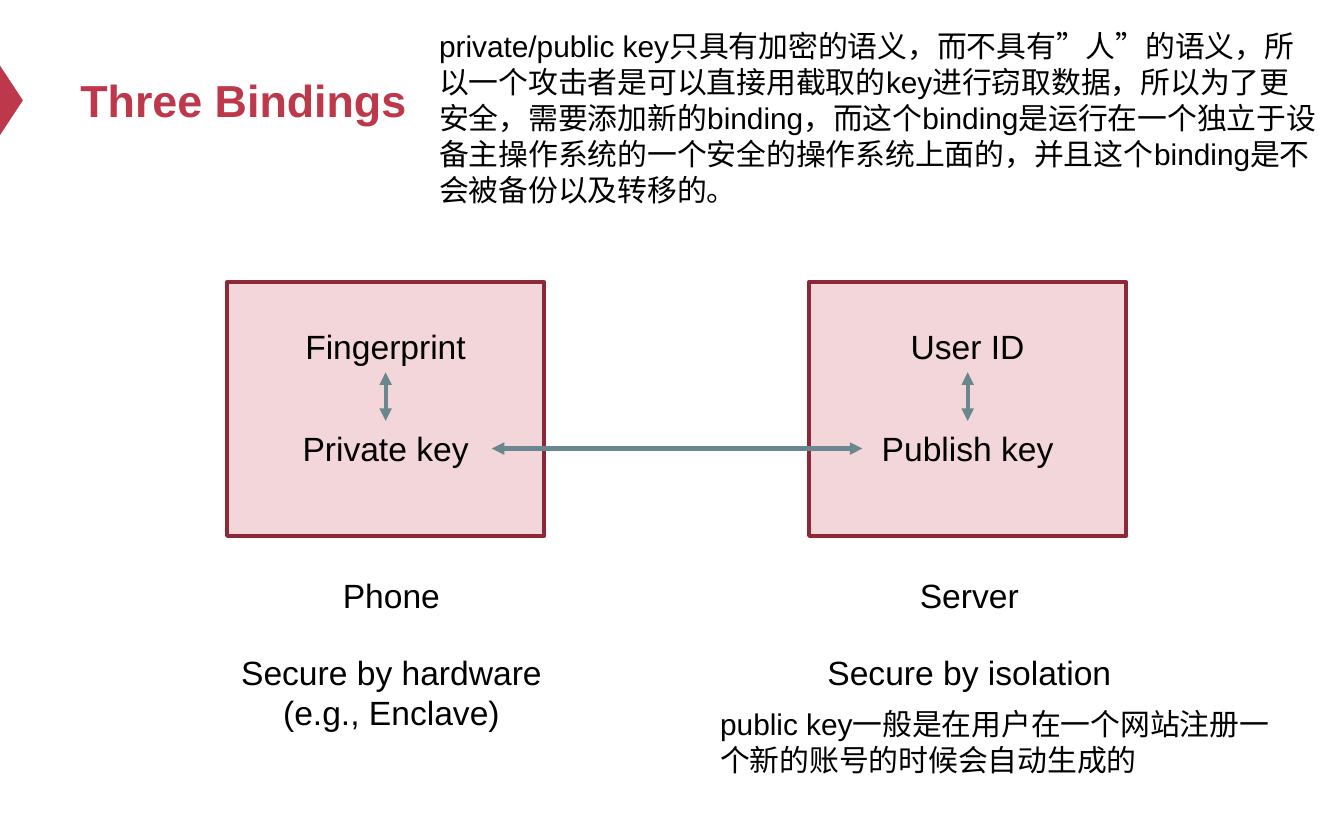
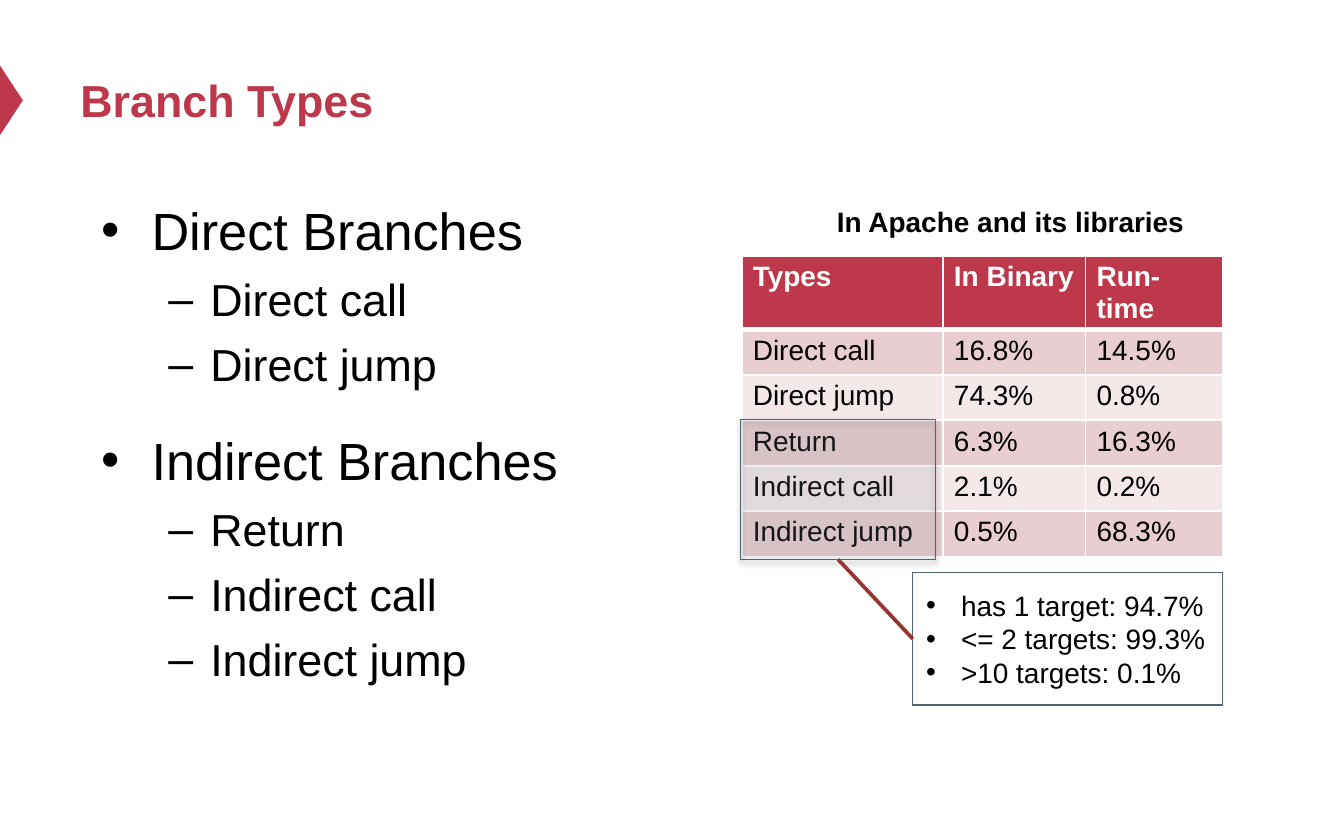
from lxml.etree import SubElement
from pptx import Presentation
from pptx.dml.color import RGBColor
from pptx.enum.shapes import MSO_CONNECTOR, MSO_SHAPE
from pptx.enum.text import MSO_ANCHOR, MSO_AUTO_SIZE, PP_ALIGN
from pptx.oxml.ns import qn
from pptx.util import Pt

FONT = "Arial"
CRIMSON = RGBColor(0xBE, 0x38, 0x4B)
DARK_RED = RGBColor(0x8D, 0x29, 0x37)
BLUSH = RGBColor(0xF3, 0xD6, 0xDA)
BAND_DARK = RGBColor(0xE8, 0xCE, 0xD0)
BAND_LIGHT = RGBColor(0xF4, 0xE8, 0xE9)
STEEL = RGBColor(0x6A, 0x86, 0x8F)
SLATE = RGBColor(0x50, 0x65, 0x6B)
MIST = RGBColor(0xA5, 0xB7, 0xBC)
BRICK = RGBColor(0x95, 0x37, 0x35)
BLACK = RGBColor(0, 0, 0)
WHITE = RGBColor(0xFF, 0xFF, 0xFF)

DEVICE_TOP, DEVICE_WIDTH, DEVICE_HEIGHT = 151.2, 170, 136
LABEL_WIDTH = 113

KEY_NOTE = (
    "private/public key只具有加密的语义，而不具有”人”的语义，所以一个攻击者是可以直接用截取的key进行窃取数据，"
    "所以为了更安全，需要添加新的binding，而这个binding是运行在一个独立于设备主操作系统的一个安全的操作系统上面的，"
    "并且这个binding是不会被备份以及转移的。"
)
REGISTER_NOTE = "public key一般是在用户在一个网站注册一个新的账号的时候会自动生成的"

BRANCHES = [
    ("Direct Branches", ["Direct call", "Direct jump"]),
    ("Indirect Branches", ["Return", "Indirect call", "Indirect jump"]),
]
BRANCH_SHARES = [
    ("Types", "In Binary", "Run-time"),
    ("Direct call", "16.8%", "14.5%"),
    ("Direct jump", "74.3%", "0.8%"),
    ("Return", "6.3%", "16.3%"),
    ("Indirect call", "2.1%", "0.2%"),
    ("Indirect jump", "0.5%", "68.3%"),
]
TARGET_COUNTS = ["has 1 target: 94.7%", "<= 2 targets: 99.3%", ">10 targets: 0.1%"]


def points(*lengths):
    return [Pt(length) for length in lengths]


def style_runs(paragraph, size, color=BLACK, bold=False):
    for run in paragraph.runs:
        run.font.name = FONT
        run.font.size = Pt(size)
        run.font.bold = bold
        run.font.color.rgb = color


def add_label(slide, text, left, top, width, height, size=18, color=BLACK,
              bold=False, align=PP_ALIGN.LEFT, wrap=True):
    label = slide.shapes.add_textbox(*points(left, top, width, height))
    frame = label.text_frame
    frame.word_wrap = wrap
    frame.auto_size = MSO_AUTO_SIZE.SHAPE_TO_FIT_TEXT
    frame.text = text
    frame.paragraphs[0].alignment = align
    style_runs(frame.paragraphs[0], size, color, bold)
    return label


def add_centered(slide, text, center, top, width, height=29):
    add_label(slide, text, center - width / 2, top, width, height,
              align=PP_ALIGN.CENTER)


def add_box(slide, preset, left, top, width, height, fill=None, line=None,
            line_width=0.75):
    box = slide.shapes.add_shape(preset, *points(left, top, width, height))
    box.shadow.inherit = False
    if fill is None:
        box.fill.background()
    else:
        box.fill.solid()
        box.fill.fore_color.rgb = fill
    if line is None:
        box.line.fill.background()
    else:
        box.line.color.rgb = line
        box.line.width = Pt(line_width)
    return box


def add_line(slide, start, end, color, width, arrows=False):
    link = slide.shapes.add_connector(MSO_CONNECTOR.STRAIGHT,
                                      *points(*start, *end))
    link.line.color.rgb = color
    link.line.width = Pt(width)
    if arrows:
        outline = link.line._get_or_add_ln()
        for tag in ("a:headEnd", "a:tailEnd"):
            SubElement(outline, qn(tag), type="triangle")
    SubElement(link._element.spPr, qn("a:effectLst"))


def add_bullet(paragraph, symbol, margin, hang):
    properties = paragraph._p.get_or_add_pPr()
    properties.set("marL", str(Pt(margin)))
    properties.set("indent", str(-Pt(hang)))
    SubElement(properties, qn("a:buFont"), typeface=FONT)
    SubElement(properties, qn("a:buChar"), char=symbol)


def add_titled_slide(deck, title):
    slide = deck.slides.add_slide(deck.slide_layouts[6])
    marker = add_box(slide, MSO_SHAPE.ISOSCELES_TRIANGLE, -13, 47.5, 38, 12.5,
                     CRIMSON)
    marker.rotation = 90
    heading = add_label(slide, title, 36, 18, 648, 70.6, 24, CRIMSON, True)
    heading.text_frame.auto_size = MSO_AUTO_SIZE.NONE
    heading.text_frame.vertical_anchor = MSO_ANCHOR.MIDDLE
    return slide


def add_device(slide, center, identity, key, name, security, caption_center):
    add_box(slide, MSO_SHAPE.RECTANGLE, center - DEVICE_WIDTH / 2, DEVICE_TOP,
            DEVICE_WIDTH, DEVICE_HEIGHT, BLUSH, DARK_RED, 2)
    add_centered(slide, identity, center, 170.8, LABEL_WIDTH)
    add_centered(slide, key, center, 225.7, LABEL_WIDTH)
    add_line(slide, (center, 199.5), (center, 225.5), STEEL, 2.25, True)
    add_centered(slide, name, caption_center, 304.5, 130)
    add_centered(slide, security, caption_center, 345.6, 206)


def add_outline(slide, left, top, width, height):
    outline = slide.shapes.add_textbox(*points(left, top, width, height))
    frame = outline.text_frame
    frame.word_wrap = True
    frame.margin_left = frame.margin_right = frame.margin_top = Pt(6)
    frame.margin_bottom = Pt(3)
    lines = [(text, level) for group, members in BRANCHES
             for text, level in [(group, 0)] + [(m, 1) for m in members]]
    frame.text = "\n".join(text for text, _ in lines)
    for row, (paragraph, (_, level)) in enumerate(zip(frame.paragraphs, lines)):
        paragraph.level = level
        if level:
            add_bullet(paragraph, "–", 58.5, 22.5)
        else:
            add_bullet(paragraph, "•", 27, 27)
        if row:
            paragraph.space_before = Pt(6 if level else 20)
        style_runs(paragraph, 24 if level else 28)


def add_cell_borders(cell, top_width, bottom_width):
    properties = cell._tc.get_or_add_tcPr()
    widths = {"L": 1, "R": 1, "T": top_width, "B": bottom_width}
    for side, width in widths.items():
        border = SubElement(properties, qn(f"a:ln{side}"), w=str(Pt(width)))
        fill = SubElement(border, qn("a:solidFill"))
        SubElement(fill, qn("a:srgbClr"), val=str(WHITE))


def add_share_table(slide, left, top, column_widths, row_height):
    rows = len(BRANCH_SHARES)
    table = slide.shapes.add_table(
        rows, len(column_widths),
        *points(left, top, sum(column_widths), rows * row_height)).table
    table.horz_banding = False
    for column, width in zip(table.columns, column_widths):
        column.width = Pt(width)
    for r, values in enumerate(BRANCH_SHARES):
        table.rows[r].height = Pt(row_height)
        for c, value in enumerate(values):
            cell = table.cell(r, c)
            cell.margin_left = cell.margin_right = Pt(5.9)
            cell.margin_top = cell.margin_bottom = Pt(2.95)
            add_cell_borders(cell, 3 if r == 1 else 1, 3 if r == 0 else 1)
            cell.fill.solid()
            band = BAND_DARK if r % 2 else BAND_LIGHT
            cell.fill.fore_color.rgb = band if r else CRIMSON
            cell.text_frame.text = value
            style_runs(cell.text_frame.paragraphs[0], 15,
                       BLACK if r else WHITE, r == 0)


def add_highlight(slide, left, top, width, height):
    highlight = add_box(slide, MSO_SHAPE.RECTANGLE, left, top, width, height,
                        MIST, SLATE)
    properties = highlight._element.spPr
    tint = properties.find(qn("a:solidFill")).find(qn("a:srgbClr"))
    SubElement(tint, qn("a:alpha"), val="12000")
    shadow = SubElement(properties.find(qn("a:effectLst")), qn("a:outerShdw"),
                        blurRad=str(Pt(3.1)), dist=str(Pt(1.8)),
                        dir="5400000", rotWithShape="0")
    shade = SubElement(shadow, qn("a:srgbClr"), val=str(BLACK))
    SubElement(shade, qn("a:alpha"), val="35000")


def add_callout(slide, left, top, width, height):
    callout = add_box(slide, MSO_SHAPE.RECTANGLE, left, top, width, height,
                      line=SLATE)
    frame = callout.text_frame
    frame.word_wrap = True
    frame.vertical_anchor = MSO_ANCHOR.MIDDLE
    frame.text = "\n".join(TARGET_COUNTS)
    for paragraph in frame.paragraphs:
        paragraph.alignment = PP_ALIGN.LEFT
        add_bullet(paragraph, "•", 18.75, 18.75)
        style_runs(paragraph, 15)


def build_bindings(deck):
    slide = add_titled_slide(deck, "Three Bindings")
    add_device(slide, 206.6, "Fingerprint", "Private key", "Phone",
               "Secure by hardware (e.g., Enclave)", 209.7)
    add_device(slide, 518.4, "User ID", "Publish key", "Server",
               "Secure by isolation", 519.3)
    add_line(slide, (462, 240.3), (263.5, 240.3), STEEL, 2.25, True)
    add_label(slide, REGISTER_NOTE, 378.7, 374.4, 317.5, 46, 16)
    add_label(slide, KEY_NOTE, 228.2, 11.5, 485.3, 104.4, 16)


def build_branches(deck):
    slide = add_titled_slide(deck, "Branch Types")
    add_share_table(slide, 397.4, 137.2, [107.8, 76.4, 73.5], 24.35)
    add_highlight(slide, 396.7, 224.8, 104.4, 74.9)
    add_callout(slide, 489, 306.6, 165.8, 71.2)
    add_line(slide, (449, 299.7), (489, 342.2), BRICK, 2)
    add_outline(slide, 48.2, 100, 540, 317.5)
    add_label(slide, "In Apache and its libraries", 441.2, 106, 202.3, 25, 15,
              bold=True, wrap=False)


def main():
    deck = Presentation()
    deck.slide_width, deck.slide_height = points(720, 450)
    build_bindings(deck)
    build_branches(deck)
    deck.save("out.pptx")


if __name__ == "__main__":
    main()
